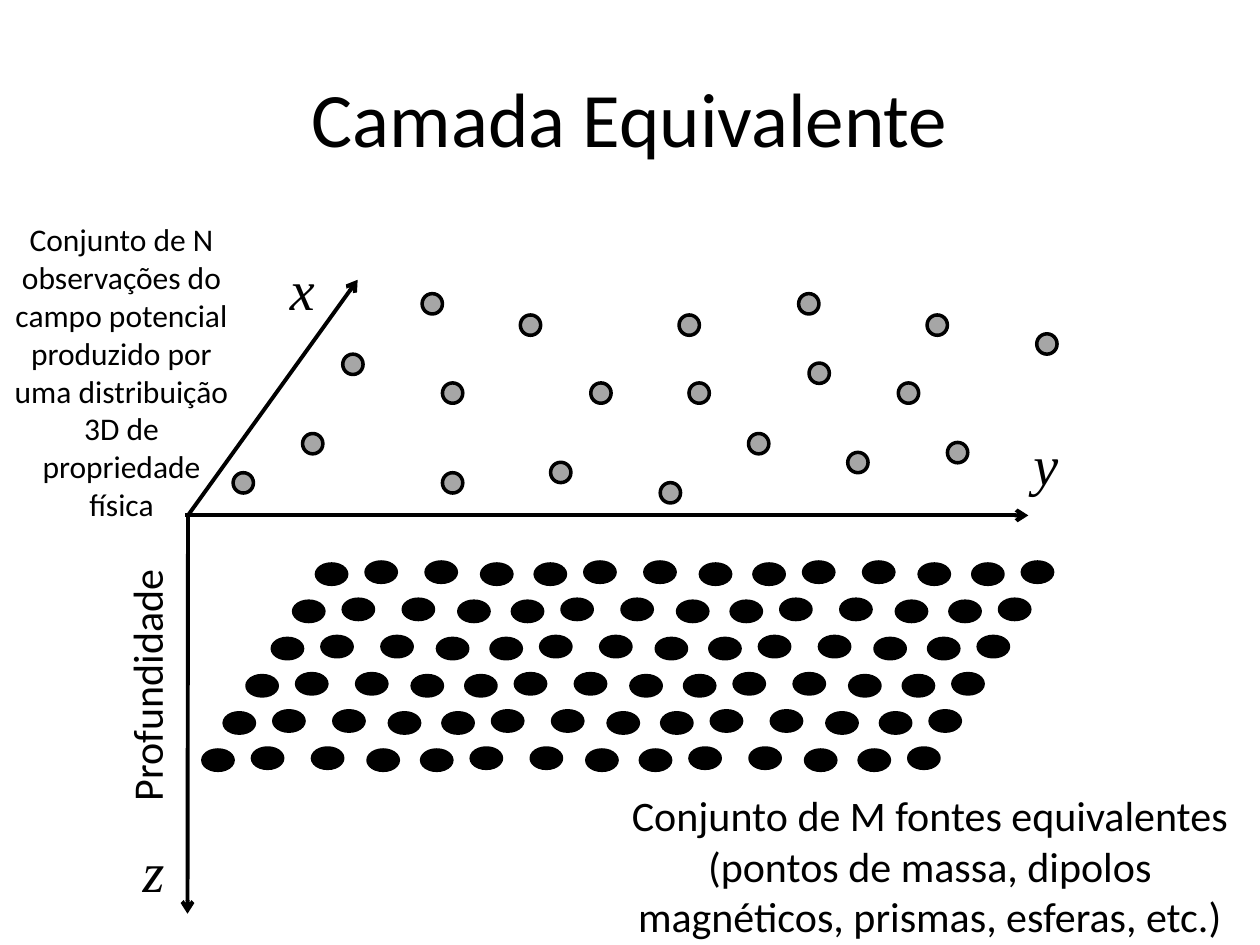
"""Draw the equivalent layer slide: observations above, equivalent sources below."""
from lxml.etree import SubElement
from pptx import Presentation
from pptx.dml.color import RGBColor
from pptx.enum.shapes import MSO_CONNECTOR, MSO_SHAPE
from pptx.enum.text import MSO_ANCHOR, PP_ALIGN
from pptx.oxml.ns import qn
from pptx.util import Cm, Pt

BLACK = "000000"
GRAY = "A6A6A6"
AXIS_LABEL = {"size": 32, "font": "Times New Roman", "italic": True}

TEXTS = [
    ("z", (1.9, 16.74, 2.39, 1.62), AXIS_LABEL),
    ("y", (19.89, 8.53, 2.39, 1.62), AXIS_LABEL),
    ("x", (4.9, 5, 2.39, 1.62), AXIS_LABEL),
    ("Conjunto de N observações do campo potencial produzido por uma "
     "distribuição 3D de propriedade física", (0, 4.32, 4.9, 6.4), {"size": 18}),
    ("Profundidade", (-0.15, 13.18, 6.2, 1.28), {"size": 24, "rotation": 270}),
    ("Conjunto de M fontes equivalentes (pontos de massa, dipolos magnéticos, "
     "prismas, esferas, etc.)", (12.09, 15.8, 13.31, 3.33), {"size": 24}),
    ("Camada Equivalente", (1.27, 0.76, 22.86, 3.18),
     {"size": 44, "anchor": MSO_ANCHOR.MIDDLE}),
]

AXES = [
    (3.79, 10.41, 3.78, 18.42),
    (3.73, 10.39, 20.73, 10.39),
    (3.81, 10.36, 7.21, 5.64),
]

OBSERVATIONS = [
    (8.51, 5.92), (10.49, 6.35), (8.92, 7.72), (6.91, 7.14), (6.1, 8.74),
    (8.92, 9.53), (11.91, 7.72), (13.69, 6.35), (11.1, 9.32), (13.89, 7.72),
    (13.31, 9.73), (16.1, 5.92), (16.31, 7.32), (15.09, 8.74), (18.69, 6.35),
    (18.11, 7.72), (17.09, 9.12), (19.1, 8.92), (20.9, 6.73), (4.7, 9.53),
]
OBSERVATION_SIZE = (0.41, 0.41)

SOURCE_SIZE = (0.61, 0.41)
SOURCE_ORIGIN = (4.09, 15.12)
SOURCE_COLUMNS = 14
COLUMN_PATTERN = [(0, 0), (1, -0.04), (2.21, -0.04), (3.33, 0)]
PATTERN_WIDTH = 4.41
ROW_SHIFTS = [0, 0.43, 0.89, 1.4, 1.83, 2.29]
ROW_STEP = 0.75


def color(value):
    return RGBColor.from_string(value)


def add_text(page, text, place, size, font="Calibri", italic=False,
             rotation=0, anchor=MSO_ANCHOR.TOP):
    box = page.shapes.add_textbox(*map(Cm, place))
    box.rotation = rotation
    frame = box.text_frame
    frame.word_wrap = True
    frame.vertical_anchor = anchor
    para = frame.paragraphs[0]
    para.alignment = PP_ALIGN.CENTER
    span = para.add_run()
    span.text = text
    span.font.size = Pt(size)
    span.font.name = font
    span.font.italic = italic
    span.font.color.rgb = color(BLACK)


def add_dot(page, position, size, fill):
    dot = page.shapes.add_shape(MSO_SHAPE.OVAL, *map(Cm, position + size))
    dot.shadow.inherit = False
    dot.fill.solid()
    dot.fill.fore_color.rgb = color(fill)
    dot.line.color.rgb = color(BLACK)
    dot.line.width = Pt(2)


def add_axis(page, ends):
    axis = page.shapes.add_connector(MSO_CONNECTOR.STRAIGHT, *map(Cm, ends))
    axis.line.color.rgb = color(BLACK)
    axis.line.width = Pt(2.25)
    SubElement(axis.line._get_or_add_ln(), qn("a:tailEnd"), type="arrow")
    SubElement(axis._element.spPr, qn("a:effectLst"))


def source_positions():
    left, top = SOURCE_ORIGIN
    for column in range(SOURCE_COLUMNS):
        block, step = divmod(column, len(COLUMN_PATTERN))
        across, down = COLUMN_PATTERN[step]
        for row, shift in enumerate(ROW_SHIFTS):
            yield (left + block * PATTERN_WIDTH + across + shift,
                   top + down - row * ROW_STEP)


def main():
    deck = Presentation()
    deck.slide_width, deck.slide_height = Cm(25.4), Cm(19.05)
    page = deck.slides.add_slide(deck.slide_layouts[6])
    for position in source_positions():
        add_dot(page, position, SOURCE_SIZE, BLACK)
    for ends in AXES:
        add_axis(page, ends)
    for text, place, style in TEXTS:
        add_text(page, text, place, **style)
    for position in OBSERVATIONS:
        add_dot(page, position, OBSERVATION_SIZE, GRAY)
    deck.save("out.pptx")


if __name__ == "__main__":
    main()
